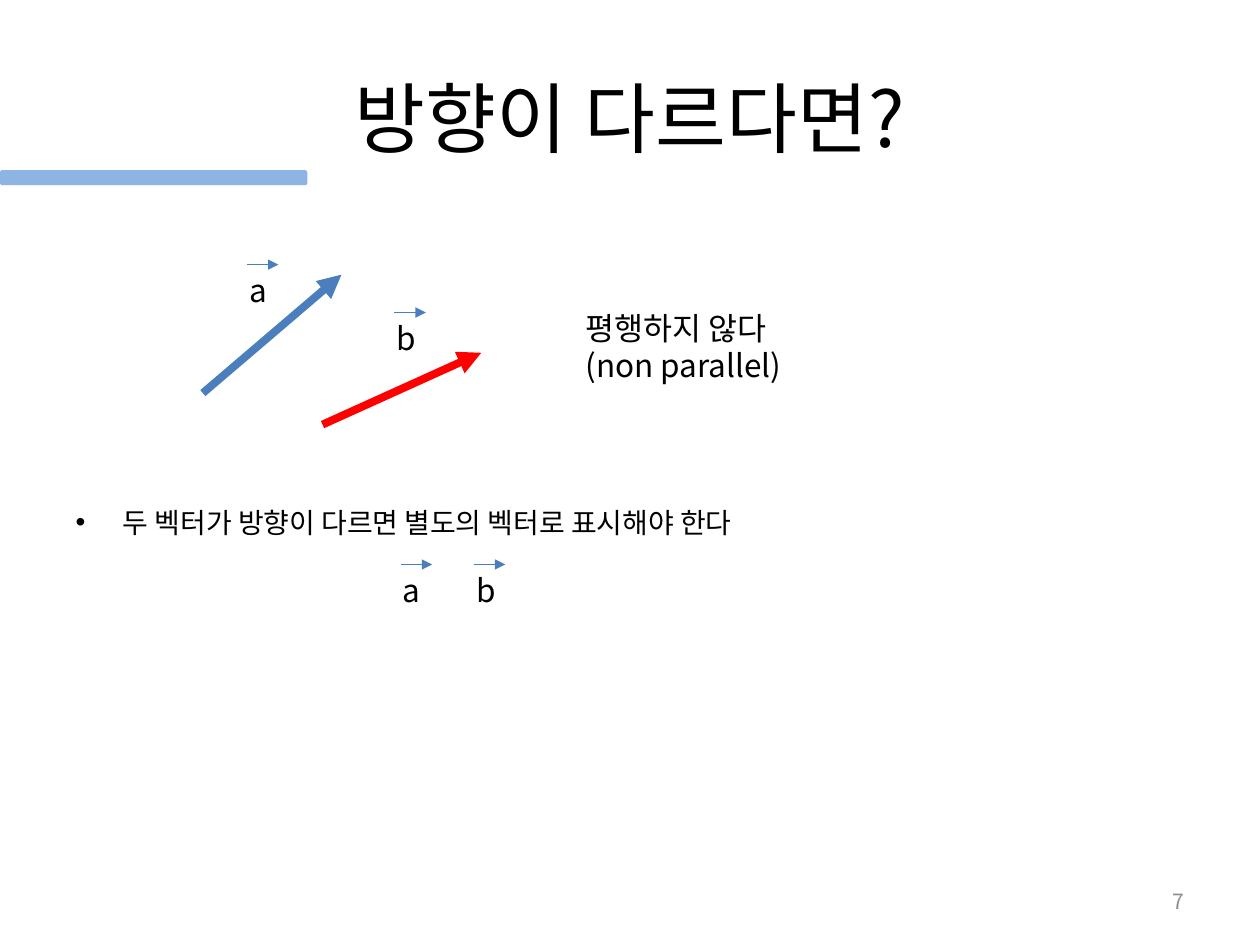
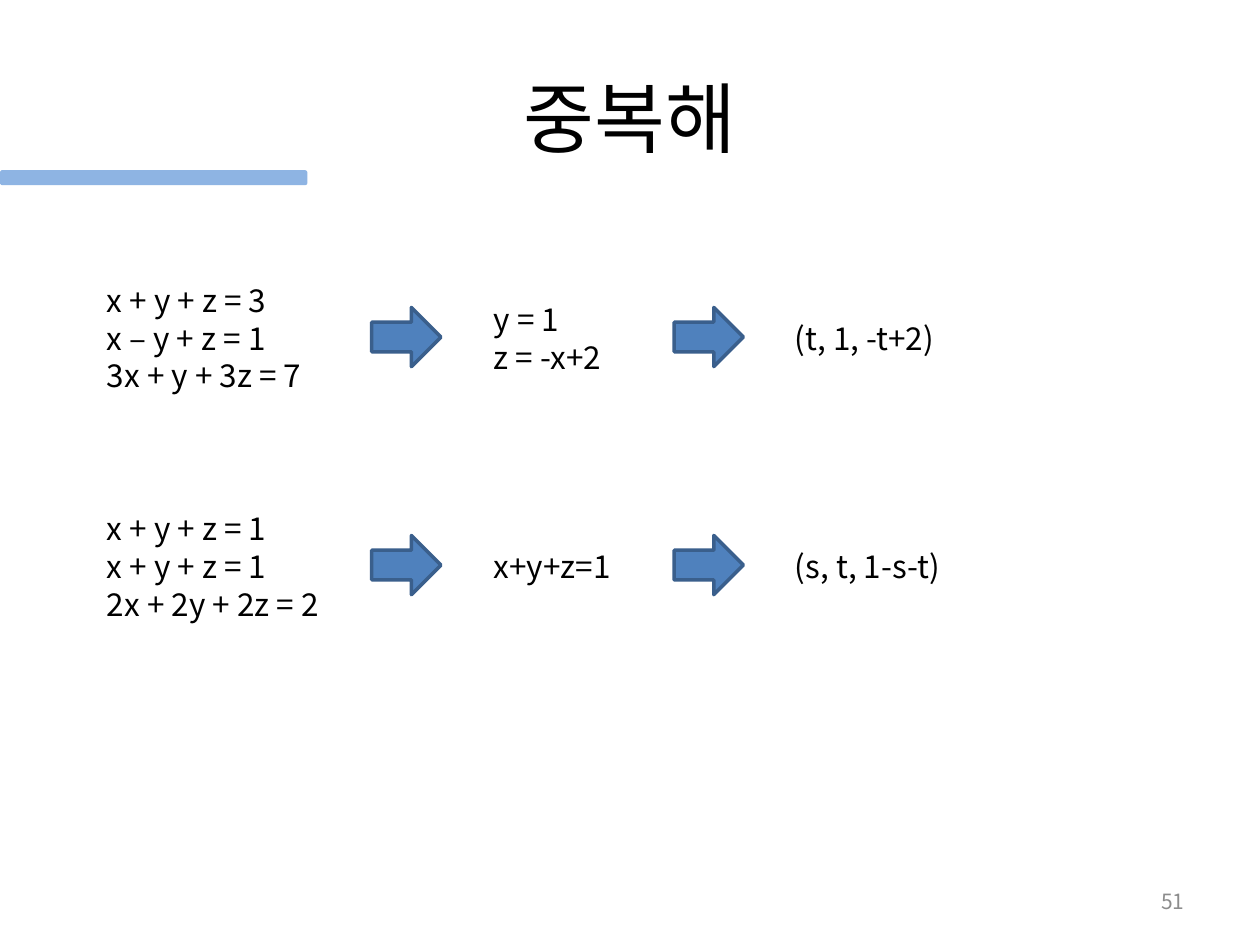
from dataclasses import dataclass

from lxml.etree import SubElement
from pptx import Presentation
from pptx.dml.color import RGBColor
from pptx.enum.shapes import MSO_CONNECTOR as Connector, MSO_SHAPE as Shape
from pptx.enum.text import MSO_ANCHOR as Anchor, MSO_AUTO_SIZE as AutoSize, PP_ALIGN as Align
from pptx.oxml.ns import qn
from pptx.presentation import Presentation as Deck
from pptx.slide import Slide
from pptx.text.text import TextFrame
from pptx.util import Emu, Pt

EMU_PER_PX = 9144
FONT = "Noto Sans CJK KR"
BLACK, GRAY, RED = "000000", "8C8C8C", "FF0000"
BAND_BLUE, VECTOR_BLUE = "8EB4E3", "4B7EBC"
STEP_BLUE, STEP_OUTLINE = "4F81BD", "3A5F8C"
TITLE_AND_BODY, TITLE_ONLY = 1, 5
LINE_HEIGHT, BOX_PADDING = 30, 10


@dataclass(frozen=True)
class Vector:
    start: tuple[int, int]
    end: tuple[int, int]
    color: str = VECTOR_BLUE
    weight: float = 4.5


@dataclass(frozen=True)
class VectorLabel:
    letter: str
    left: int
    top: int
    width: int


@dataclass(frozen=True)
class Expression:
    text: str
    left: int
    width: int


VECTORS = [
    Vector((161, 312), (271, 218)),
    Vector((256, 337), (382, 280), RED),
]
VECTOR_LABELS = [
    VectorLabel("a", 196, 210, 36),
    VectorLabel("b", 313, 248, 38),
    VectorLabel("a", 318, 448, 36),
    VectorLabel("b", 376, 448, 38),
]
SOLUTIONS = [
    [
        Expression("x + y + z = 3\nx – y + z = 1\n3x + y + 3z = 7", 75, 204),
        Expression("y = 1\nz = -x+2", 382, 121),
        Expression("(t, 1, -t+2)", 621, 138),
    ],
    [
        Expression("x + y + z = 1\nx + y + z = 1\n2x + 2y + 2z = 2", 75, 218),
        Expression("x+y+z=1", 382, 123),
        Expression("(s, t, 1-s-t)", 621, 139),
    ],
]
STEP_LEFTS = (295, 535)
FIRST_SOLUTION_CENTER, SOLUTION_PITCH = 268, 181


def px(length: int) -> Emu:
    return Emu(length * EMU_PER_PX)


def rgb(color: str) -> RGBColor:
    return RGBColor.from_string(color)


def write(frame: TextFrame, text: str, *, size: float = 18, color: str = BLACK,
          align: Align = Align.LEFT, anchor: Anchor = Anchor.TOP,
          wrap: bool = True) -> None:
    frame.text = text
    frame.word_wrap = wrap
    frame.auto_size = AutoSize.NONE if wrap else AutoSize.SHAPE_TO_FIT_TEXT
    frame.vertical_anchor = anchor
    for paragraph in frame.paragraphs:
        paragraph.alignment = align
        paragraph.space_before = Pt(0)
        for run in paragraph.runs:
            run.font.size = Pt(size)
            run.font.name = FONT
            run.font.color.rgb = rgb(color)
            SubElement(run.font._element, qn("a:ea"), typeface=FONT)


def place(placeholder, left: int, top: int, width: int, height: int) -> TextFrame:
    placeholder.left, placeholder.top = px(left), px(top)
    placeholder.width, placeholder.height = px(width), px(height)
    return placeholder.text_frame


def text_area(slide: Slide, left: int, top: int, width: int, height: int) -> TextFrame:
    return slide.shapes.add_textbox(px(left), px(top), px(width), px(height)).text_frame


def draw_block(slide: Slide, kind: Shape, left: int, top: int, width: int,
               height: int, fill: str, outline: str | None = None) -> None:
    block = slide.shapes.add_shape(kind, px(left), px(top), px(width), px(height))
    block.shadow.inherit = False
    block.fill.solid()
    block.fill.fore_color.rgb = rgb(fill)
    if outline:
        block.line.color.rgb = rgb(outline)
        block.line.width = Pt(2)
    else:
        block.line.fill.background()


def draw_vector(slide: Slide, vector: Vector) -> None:
    arrow = slide.shapes.add_connector(
        Connector.STRAIGHT, *map(px, vector.start), *map(px, vector.end))
    arrow.line.color.rgb = rgb(vector.color)
    arrow.line.width = Pt(vector.weight)
    properties = arrow._element.spPr
    SubElement(properties.find(qn("a:ln")), qn("a:tailEnd"), type="triangle")
    SubElement(properties, qn("a:effectLst"))


def draw_label(slide: Slide, label: VectorLabel) -> None:
    letter = text_area(slide, label.left - 8, label.top, label.width, 40)
    write(letter, label.letter, wrap=False)
    draw_vector(slide, Vector((label.left, label.top), (label.left + 25, label.top), weight=0.75))


def draw_expression(slide: Slide, expression: Expression, center: int) -> None:
    height = BOX_PADDING + LINE_HEIGHT * len(expression.text.splitlines())
    area = text_area(slide, expression.left, center - height // 2, expression.width, height)
    write(area, expression.text, wrap=False)


def start_slide(deck: Deck, layout: int, title: str, number: int) -> Slide:
    slide = deck.slides.add_slide(deck.slide_layouts[layout])
    write(place(slide.shapes.title, 50, 30, 900, 125), title,
          size=44, align=Align.CENTER, anchor=Anchor.MIDDLE)
    write(text_area(slide, 717, 695, 233, 40), str(number),
          size=12, color=GRAY, align=Align.RIGHT, anchor=Anchor.MIDDLE)
    draw_block(slide, Shape.ROUNDED_RECTANGLE, 0, 135, 244, 12, BAND_BLUE)
    return slide


def build_directions(deck: Deck) -> None:
    slide = start_slide(deck, TITLE_AND_BODY, "방향이 다르다면?", 7)
    write(text_area(slide, 455, 240, 181, 71), "평행하지 않다\n(non parallel)", wrap=False)
    write(place(slide.placeholders[1], 50, 396, 900, 105),
          "두 벡터가 방향이 다르면 별도의 벡터로 표시해야 한다", size=16)
    for vector in VECTORS:
        draw_vector(slide, vector)
    for label in VECTOR_LABELS:
        draw_label(slide, label)


def build_solutions(deck: Deck) -> None:
    slide = start_slide(deck, TITLE_ONLY, "중복해", 51)
    for row, expressions in enumerate(SOLUTIONS):
        center = FIRST_SOLUTION_CENTER + row * SOLUTION_PITCH
        for expression in expressions:
            draw_expression(slide, expression, center)
        for left in STEP_LEFTS:
            draw_block(slide, Shape.RIGHT_ARROW, left, center - 24, 55, 47,
                       STEP_BLUE, STEP_OUTLINE)


def main() -> None:
    deck = Presentation()
    deck.slide_width, deck.slide_height = px(1000), px(750)
    build_directions(deck)
    build_solutions(deck)
    deck.save("out.pptx")


if __name__ == "__main__":
    main()
